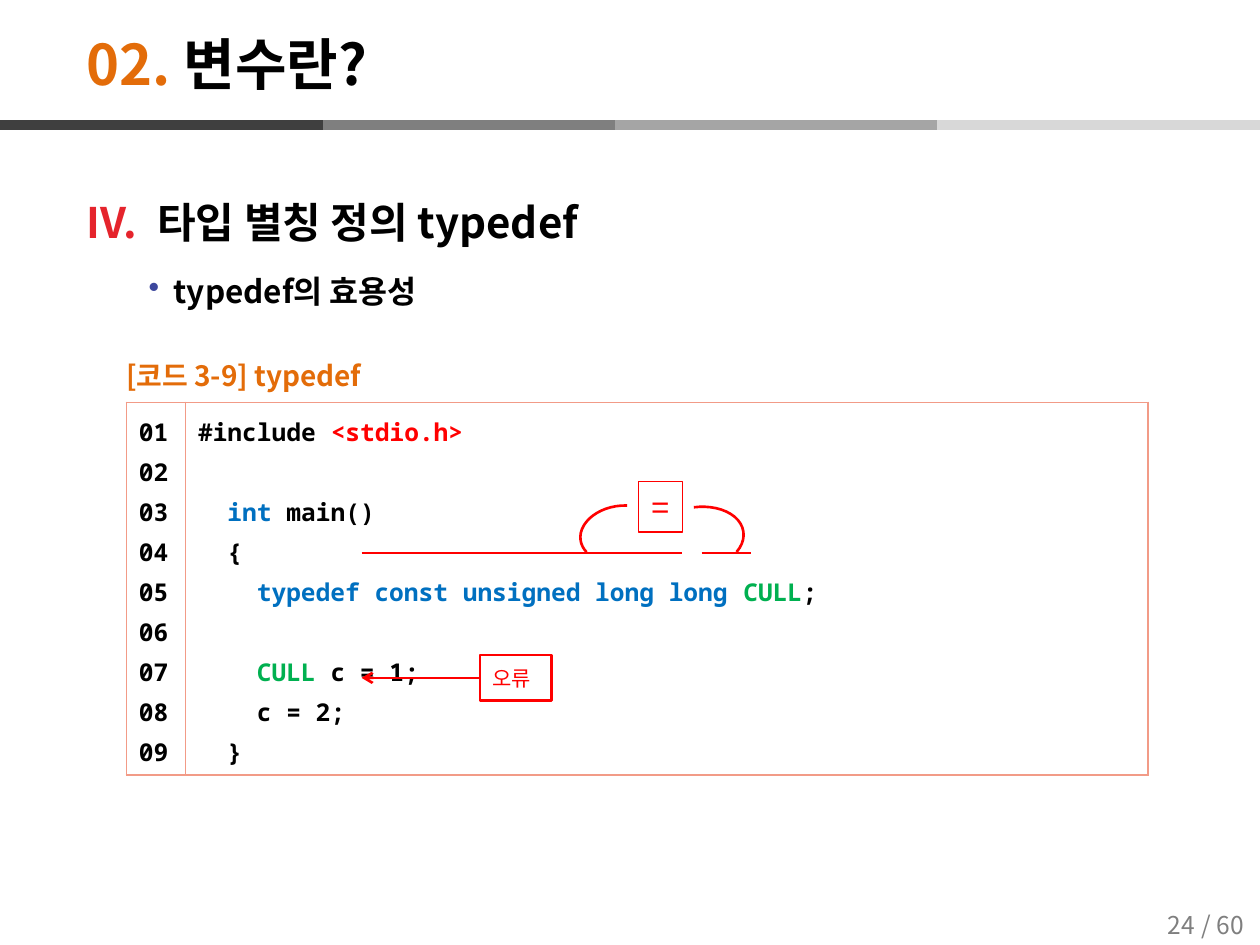
from lxml import etree
from pptx import Presentation
from pptx.dml.color import RGBColor
from pptx.enum.shapes import MSO_CONNECTOR as CONN, MSO_SHAPE as SHAPE
from pptx.enum.text import MSO_ANCHOR as ANCHOR, MSO_AUTO_SIZE as AUTO, PP_ALIGN as ALIGN
from pptx.oxml.ns import qn
from pptx.util import Pt

COLORS = {
    "black": "000000", "white": "FFFFFF", "orange": "E36C09", "gray": "7F7F7F",
    "red": "FF0000", "blue": "0070C0", "green": "00B050", "border": "F29B87",
    "number": "E5242C", "bullet": "3C479D",
}
BAR_COLORS = ["3F3F3F", "7F7F7F", "A5A5A5", "D8D8D8"]
SANS, MONO = "Noto Sans CJK KR", "Noto Sans Mono"
TITLE = {"size": Pt(32), "bold": True, "name": SANS}
HEADING = {"size": Pt(24), "bold": True, "name": SANS}
ITEM = {"size": Pt(18), "bold": True, "name": SANS}
CAPTION = {"size": Pt(16), "bold": True, "name": SANS}
CODE = {"size": Pt(14), "bold": True, "name": MONO}
PAGE = {"size": Pt(14), "name": SANS}
LABEL = {"size": Pt(12), "name": SANS}
EQUALS = {"size": Pt(18), "name": "Arial"}
LINE_PITCH, INDENT_STEP = 22.86, 16.8

# (indent level, blank lines above, coloured runs)
CODE_LINES = [
    (0, 0, [("#include ", "black"), ("<stdio.h>", "red")]),
    (1, 1, [("int", "blue"), (" main()", "black")]),
    (1, 0, [("{", "black")]),
    (2, 0, [("typedef const unsigned long long ", "blue"), ("CULL", "green"), (";", "black")]),
    (2, 1, [("CULL", "green"), (" c = 1;", "black")]),
    (2, 0, [("c = 2;", "black")]),
    (1, 0, [("}", "black")]),
]


def rgb(name):
    return RGBColor.from_string(COLORS.get(name, name))


def child(parent, tag, **attrs):
    return etree.SubElement(parent, qn(tag), attrs)


def add_runs(p, runs, fmt):
    for text, color in runs:
        r = p.add_run()
        r.text = text
        r.font.color.rgb = rgb(color)
        for key, value in fmt.items():
            setattr(r.font, key, value)
        child(r.font._element, "a:ea", typeface=fmt["name"])


def add_text(s, box, runs, fmt, align=ALIGN.LEFT):
    tf = s.shapes.add_textbox(*map(Pt, box)).text_frame
    tf.word_wrap = True
    tf.vertical_anchor = ANCHOR.MIDDLE
    tf.paragraphs[0].alignment = align
    add_runs(tf.paragraphs[0], runs, fmt)


def add_line(s, x1, y1, x2, y2, color="red", width=1.5):
    line = s.shapes.add_connector(CONN.STRAIGHT, *map(Pt, (x1, y1, x2, y2)))
    line.line.color.rgb = rgb(color)
    line.line.width = Pt(width)
    child(line._element.spPr, "a:effectLst")
    return line


def add_outline(s, kind, box, width=1.5, fill=None):
    sp = s.shapes.add_shape(kind, *map(Pt, box))
    sp.shadow.inherit = False
    sp.line.color.rgb = rgb("red")
    sp.line.width = Pt(width)
    if fill:
        sp.fill.solid()
        sp.fill.fore_color.rgb = rgb(fill)
    else:
        sp.fill.background()
    return sp


def add_header(s, box):
    x, y, w, h = box
    bar = 184.32
    # The darkest bar overlaps its neighbour, so it is drawn last
    for i in (1, 2, 3, 0):
        start = max(x, x + w - bar * (4 - i))
        add_line(s, start, y + h, start + bar, y + h, BAR_COLORS[i], 6)
    add_text(s, (x + 42.5, y + 14.4, 629, 43.2),
             [("02. ", "orange"), ("변수란?", "black")], TITLE)


def add_body(s, box):
    tf = s.shapes.add_textbox(*map(Pt, box)).text_frame
    tf.word_wrap = True
    items = [
        ("타입 별칭 정의 typedef", HEADING, 40.3, -40.3, 0, "number",
         "a:buAutoNum", {"type": "romanUcPeriod", "startAt": "4"}),
        ("typedef의 효용성", ITEM, 49.7, -14.4, 3.6, "bullet", "a:buChar", {"char": "•"}),
    ]
    for i, (text, fmt, left, hang, before, color, tag, attrs) in enumerate(items):
        p = tf.add_paragraph() if i else tf.paragraphs[0]
        p.line_spacing = 1.5
        p.space_before = Pt(before)
        pPr = p._p.get_or_add_pPr()
        pPr.set("marL", str(Pt(left)))
        pPr.set("indent", str(Pt(hang)))
        child(child(pPr, "a:buClr"), "a:srgbClr", val=COLORS[color])
        child(pPr, tag, **attrs)
        add_runs(p, [(text, "black")], fmt)


def set_borders(cell):
    tcPr = cell._tc.get_or_add_tcPr()
    for i, tag in enumerate(("a:lnL", "a:lnR", "a:lnT", "a:lnB")):
        ln = etree.Element(qn(tag), w=str(Pt(1)))
        child(child(ln, "a:solidFill"), "a:srgbClr", val=COLORS["border"])
        tcPr.insert(i, ln)


def add_code(s, box):
    x, y, w, h = box
    add_text(s, (x - 7.2, y - 28.3, 314.6, 25.2),
             [("[코드 3-9] typedef", "orange")], CAPTION)
    table = s.shapes.add_table(1, 2, *map(Pt, box)).table
    table.first_row = table.horz_banding = False
    numbers = [(0, 0, [(f"{n:02d}", "black")]) for n in range(1, 10)]
    for i, (width, lines) in enumerate([(33.8, numbers), (w - 33.8, CODE_LINES)]):
        table.columns[i].width = Pt(width)
        cell = table.cell(0, i)
        cell.fill.background()
        set_borders(cell)
        tf = cell.text_frame
        for j, (level, gap, runs) in enumerate(lines):
            p = tf.add_paragraph() if j else tf.paragraphs[0]
            p.line_spacing = 1.2
            p.space_before = Pt(gap * LINE_PITCH)
            p._p.get_or_add_pPr().set("marL", str(Pt(level * INDENT_STEP)))
            add_runs(p, runs, CODE)


def add_error_callout(s, box):
    x, y, w, h = box
    label_w = 41
    label = add_outline(s, SHAPE.RECTANGLE, (x + w - label_w, y, label_w, h), fill="white")
    label.text_frame.vertical_anchor = ANCHOR.MIDDLE
    p = label.text_frame.paragraphs[0]
    p.alignment = ALIGN.LEFT
    add_runs(p, [("오류", "red")], LABEL)
    arrow = add_line(s, x + w - label_w, y + h / 2, x, y + h / 2)
    arrow.begin_connect(label, 1)
    child(arrow.line._get_or_add_ln(), "a:tailEnd", type="arrow")


def add_alias_mark(s, box):
    x, y, w, h = box
    # Underlines of the type and its alias
    for start, end in ((0, 182.9), (194.4, w)):
        add_line(s, x + start, y + h, x + end, y + h)
    # Arcs from the underlines up to the equals sign, angles in degrees
    arcs = [((131.8, 7.2, 32.4, 46.1), (251, 22)),
            ((173.5, 5.8, 36, 54), (3.6, 117.2))]
    for (dx, dy, aw, ah), angles in arcs:
        arc = add_outline(s, SHAPE.ARC, (x + dx, y + dy, aw, ah))
        for i, angle in enumerate(angles):
            arc.adjustments[i] = angle * 0.6
        arc.rotation = 261.2
    sign = add_outline(s, SHAPE.RECTANGLE, (x + 158.4, y, 25.2, 29.1), 0.75)
    tf = sign.text_frame
    tf.word_wrap = False
    tf.auto_size = AUTO.SHAPE_TO_FIT_TEXT
    tf.vertical_anchor = ANCHOR.TOP
    tf.paragraphs[0].alignment = ALIGN.LEFT
    add_runs(tf.paragraphs[0], [("=", "red")], EQUALS)


def add_page_number(s, box):
    x, y, w, h = box
    for text, dx in (("/ 60", w - 51.1), ("24", 0)):
        add_text(s, (x + dx, y, 51.1, h), [(text, "gray")], PAGE, ALIGN.CENTER)


def main():
    prs = Presentation()
    prs.slide_width, prs.slide_height = Pt(720), Pt(540)
    s = prs.slides.add_slide(prs.slide_layouts[6])
    add_header(s, (0, 0, 720, 71.3))
    add_page_number(s, (649.4, 514.1, 74.9, 28.1))
    add_body(s, (42.5, 94.3, 635, 431.3))
    add_code(s, (72.2, 229.9, 583.9, 213))
    add_error_callout(s, (206.6, 374.4, 108.7, 25.9))
    add_alias_mark(s, (206.6, 275, 222.5, 41.1))
    prs.save("out.pptx")


if __name__ == "__main__":
    main()
